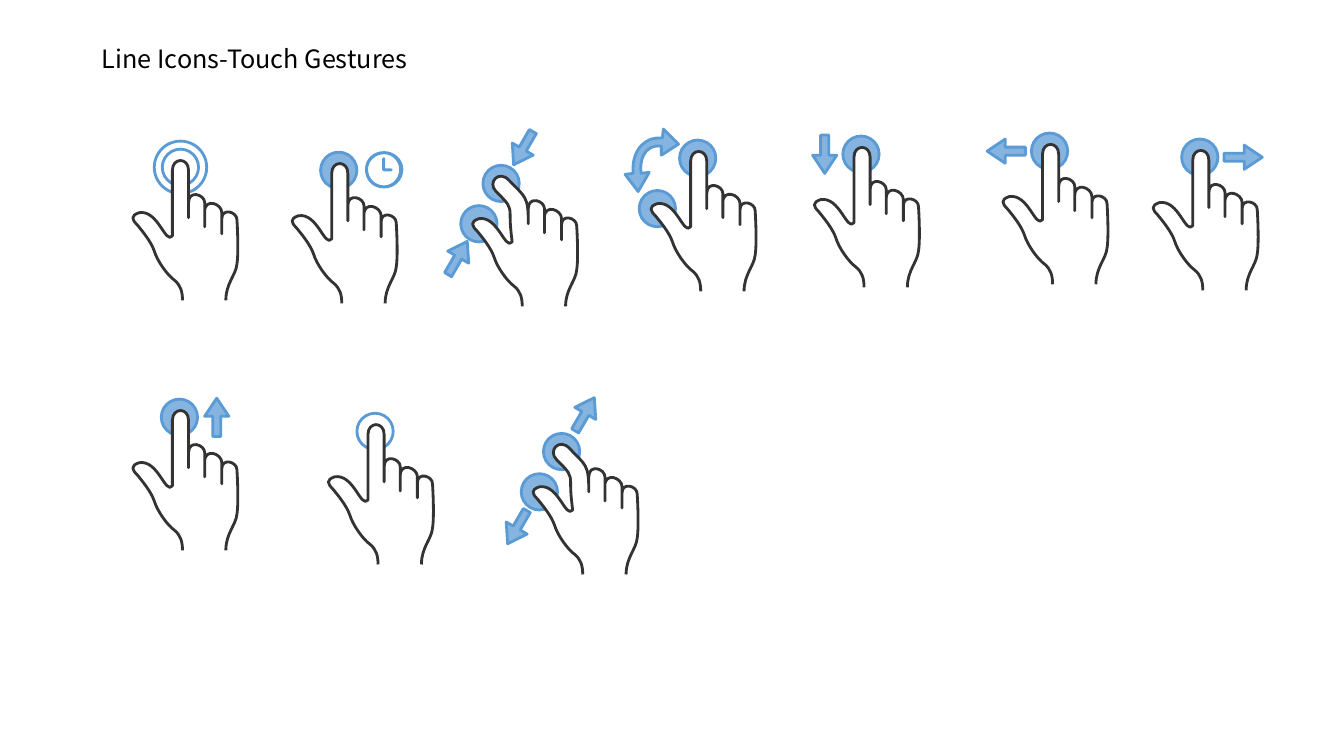
"""Build a slide of touch gesture icons."""
from math import cos, radians, sin

from lxml import etree
from pptx import Presentation
from pptx.dml.color import RGBColor
from pptx.enum import shapes, text
from pptx.oxml import ns
from pptx.util import Pt

PX = 9144
BLUE, DARK, WHITE = "5B9BD5", "333333", "FFFFFF"

THUMB = [
    [(52, 142)],
    [(52, 133), (50, 127), (44, 122)],
    [(37, 117), (27, 103), (24, 93)],
    [(21, 84), (12, 73), (7, 67)],
    [(2, 62), (0, 58), (9, 55)],
    [(28, 52), (35, 87), (42, 78)],
]
STRAIGHT_FINGER = [
    [(42, 60), (42, 25), (42, 13)],
    [(42, 0), (58, 0), (58, 13)],
    [(58, 60)],
]
BENT_FINGER = [
    [(41, 69), (40, 63), (40, 51)],
    [(40, 42), (38, 40), (26, 28)],
    [(17, 19), (29, 6), (39, 17)],
    [(55, 34), (58, 32), (58, 60)],
]
KNUCKLES = [
    [(58, 45)],
    [(58, 32), (74, 37), (74, 45)],
    [(74, 69)],
    [(74, 54)],
    [(74, 40), (91, 46), (91, 55)],
    [(91, 76)],
    [(91, 61)],
    [(91, 50), (106, 54), (106, 62)],
    [(106, 62), (108, 93), (106, 106)],
    [(105, 117), (95, 125), (95, 142)],
]
POINTING_HAND = THUMB + STRAIGHT_FINGER + KNUCKLES
PINCHING_HAND = THUMB + BENT_FINGER + KNUCKLES

UP_ARROW = [(-12, -1), (-4, -1), (-4, 19), (4, 19), (4, -1), (12, -1), (0, -19)]
TURN_ARROW = [
    [(15, -19)],
    [(14, -10)],
    [(0, -12), (-17, -1), (-15, 25)],
    [(-23, 26)],
    [(-10, 43)],
    [(1, 24)],
    [(-7, 25)],
    [(-9, 14), (-5, -4), (13, -2)],
    [(13, 7)],
    [(30, -4)],
]
CLOCK = [
    [
        [(94, -9)],
        [(83, -9), (75, -1), (75, 9)],
        [(75, 20), (83, 28), (94, 28)],
        [(104, 28), (113, 20), (113, 9)],
        [(113, -1), (104, -9), (94, -9)],
    ],
    [
        [(94, -6)],
        [(102, -6), (109, 1), (109, 9)],
        [(109, 18), (102, 25), (94, 25)],
        [(85, 25), (78, 18), (78, 9)],
        [(78, 1), (85, -6), (94, -6)],
    ],
    [
        [(94, -3)],
        [(93, -3), (92, -2), (92, -1)],
        [(92, 9)],
        [(92, 10), (93, 11), (94, 11)],
        [(101, 11)],
        [(103, 11), (103, 8), (101, 8)],
        [(95, 8)],
        [(95, -1)],
        [(95, -2), (94, -3), (94, -3)],
    ],
]

FINGER, THUMB_TIP, BENT_TIP = (31, -8), (-9, 42), (13, 2)
PINCH = [THUMB_TIP, BENT_TIP]

GESTURES = [
    (287, 159, POINTING_HAND, [FINGER], []),
    (466, 162, PINCHING_HAND, PINCH, [(-12, 94, 30), (53, -15, 210)]),
    (643, 147, POINTING_HAND, [THUMB_TIP, FINGER], []),
    (805, 143, POINTING_HAND, [FINGER], [(13, 10, 180)]),
    (992, 140, POINTING_HAND, [FINGER], [(6, 10, 270)]),
    (1141, 146, POINTING_HAND, [FINGER], [(92, 10, 90)]),
    (129, 404, POINTING_HAND, [FINGER], [(86, 10, 0)]),
    (526, 428, PINCHING_HAND, PINCH, [(-13, 95, 210), (54, -17, 30)]),
]
TAPS = [(129, 156, [(32, -8, 36), (24, -16, 52)]), (323, 418, [(31, -8, 36)])]


def color(value):
    """Turn a hex string into a colour."""
    return RGBColor.from_string(value)


def paint(shape, fill=None, line=None, alpha=None):
    """Set the fill, outline and transparency of a shape."""
    shape.shadow.inherit = False
    if fill:
        shape.fill.solid()
        shape.fill.fore_color.rgb = color(fill)
    else:
        shape.fill.background()
    if alpha:
        solid = shape._element.spPr.find(ns.qn("a:solidFill"))
        etree.SubElement(solid[0], ns.qn("a:alpha"), val=str(alpha * 1000))
    if line:
        shape.line.color.rgb = color(line)
        shape.line.width = Pt(2)
    else:
        shape.line.fill.background()


def curve_segments(shape, contours):
    """Turn each run of three lines that stands for a curve into a Bézier curve."""
    lines = iter(list(shape._element.iter(ns.qn("a:lnTo"))))
    for contour in contours:
        for segment in contour[1:]:
            first, *others = [next(lines) for _ in segment]
            if others:
                first.tag = ns.qn("a:cubicBezTo")
            for other in others:
                first.append(other[0])
                other.getparent().remove(other)


def add_outline(group, x, y, contours, close=True):
    """Draw contours, placed relative to x and y, as one freeform."""
    builder = None
    for contour in contours:
        first, *rest = [(round((x + dx) * PX), round((y + dy) * PX))
                        for segment in contour for dx, dy in segment]
        if builder is None:
            builder = group.shapes.build_freeform(*first, scale=1.0)
        else:
            builder.move_to(*first)
        builder.add_line_segments(rest, close=close)
    shape = builder.convert_to_shape()
    curve_segments(shape, contours)
    return shape


def add_circle(group, x, y, size, fill=None):
    """Draw a touch circle."""
    circle = group.shapes.add_shape(
        shapes.MSO_SHAPE.OVAL, x * PX, y * PX, size * PX, size * PX)
    paint(circle, fill, BLUE, 75 if fill else None)


def add_hand(group, x, y, contour):
    """Draw a hand open at the wrist."""
    paint(add_outline(group, x, y, [contour], close=False), WHITE, DARK)


def add_arrow(group, x, y, degrees):
    """Draw a straight arrow centred on x and y, turned clockwise from up."""
    c, s = cos(radians(degrees)), sin(radians(degrees))
    contour = [[(px * c - py * s, px * s + py * c)] for px, py in UP_ARROW]
    paint(add_outline(group, x, y, [contour]), BLUE, BLUE, 75)


def add_title(slide, content):
    """Place and format the slide title."""
    title = slide.shapes.title
    title.left, title.top, title.width, title.height = (
        length * PX for length in (91, 41, 505, 63))
    frame = title.text_frame
    frame.text = content
    frame.auto_size = text.MSO_AUTO_SIZE.NONE
    frame.vertical_anchor = text.MSO_ANCHOR.TOP
    paragraph = frame.paragraphs[0]
    paragraph.alignment = text.PP_ALIGN.LEFT
    paragraph.line_spacing = 0.9
    paragraph.font.name = "Noto Sans CJK KR"
    paragraph.font.size = Pt(18)
    paragraph.font.color.rgb = color("000000")


def main():
    """Build and save the slide."""
    presentation = Presentation()
    presentation.slide_width, presentation.slide_height = 1333 * PX, 750 * PX
    slide = presentation.slides.add_slide(presentation.slide_layouts[5])
    add_title(slide, "Line Icons-Touch Gestures")
    for x, y, rings in TAPS:
        group = slide.shapes.add_group_shape()
        for dx, dy, size in rings:
            add_circle(group, x + dx, y + dy, size)
        add_hand(group, x, y, POINTING_HAND)
    groups = []
    for x, y, hand, touches, arrows in GESTURES:
        group = slide.shapes.add_group_shape()
        groups.append(group)
        for dx, dy in touches:
            add_circle(group, x + dx, y + dy, 36, BLUE)
        add_hand(group, x, y, hand)
        for dx, dy, degrees in arrows:
            add_arrow(group, x + dx, y + dy, degrees)
    hold, _, turn, *_ = groups
    paint(add_outline(hold, *GESTURES[0][:2], CLOCK), BLUE)
    paint(add_outline(turn, *GESTURES[2][:2], [TURN_ARROW]), BLUE, BLUE, 75)
    presentation.save("out.pptx")


if __name__ == "__main__":
    main()
